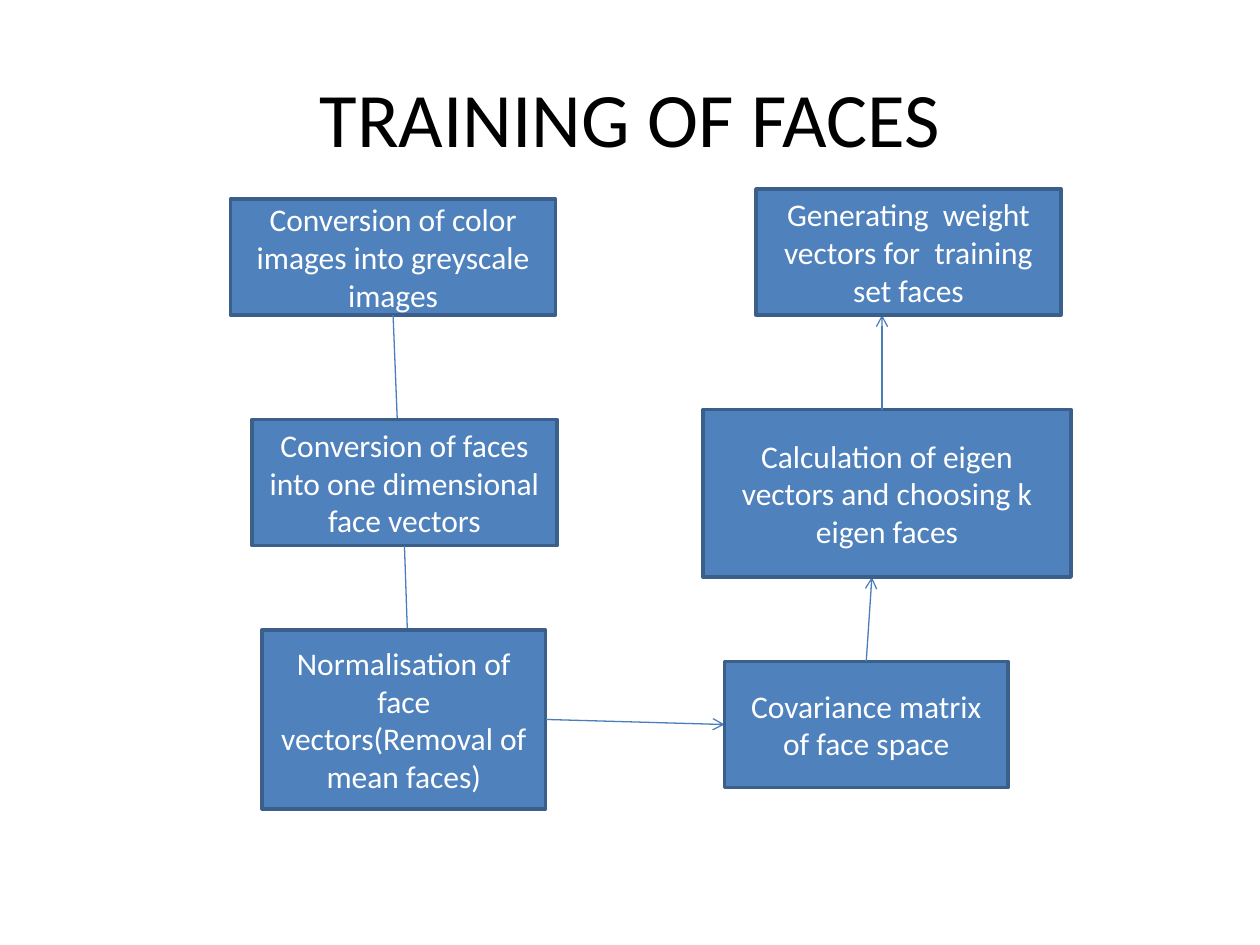
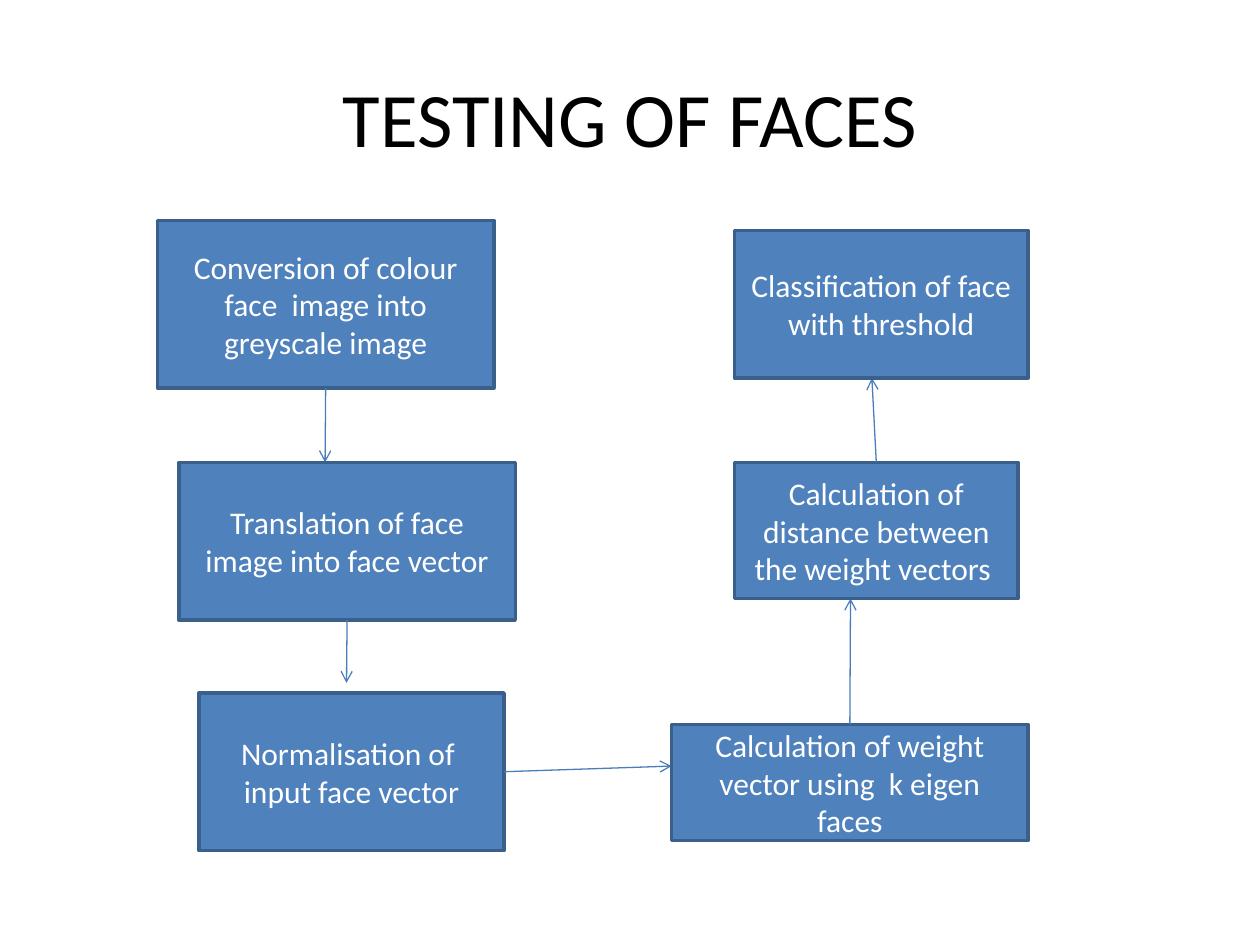
from dataclasses import dataclass

from lxml import etree
from pptx import Presentation
from pptx.dml.color import RGBColor
from pptx.enum.shapes import MSO_CONNECTOR, MSO_SHAPE
from pptx.enum.text import MSO_ANCHOR, PP_ALIGN
from pptx.oxml.ns import qn
from pptx.util import Inches, Pt

RECTANGLE = MSO_SHAPE.RECTANGLE
STRAIGHT = MSO_CONNECTOR.STRAIGHT
MIDDLE = MSO_ANCHOR.MIDDLE
CENTER = PP_ALIGN.CENTER
TITLE_ONLY = 5


@dataclass(frozen=True)
class Theme:
    font: str = "Calibri"
    title_color: RGBColor = RGBColor(0x00, 0x00, 0x00)
    step_text: RGBColor = RGBColor(0xFF, 0xFF, 0xFF)
    step_fill: RGBColor = RGBColor(0x4F, 0x81, 0xBD)
    step_border: RGBColor = RGBColor(0x3A, 0x5F, 0x8B)
    arrow_color: RGBColor = RGBColor(0x4A, 0x7E, 0xBB)
    title_size: int = 44
    step_size: int = 18
    border_width: float = 2
    arrow_width: float = 0.75


@dataclass(frozen=True)
class Step:
    """A box, the side its arrow leaves from, and the point the arrow reaches."""
    text: str
    left: float
    top: float
    width: float
    height: float
    exit_side: str = ""
    arrow_tip: tuple = ()
    exit_shift: float = 0

    def exit_point(self):
        center_x = self.left + self.width / 2 + self.exit_shift
        return {
            "top": (center_x, self.top),
            "bottom": (center_x, self.top + self.height),
            "right": (self.left + self.width, self.top + self.height / 2),
        }[self.exit_side]


class FlowDeck:
    def __init__(self, theme):
        self.theme = theme
        self.deck = Presentation()
        self.deck.slide_width = Inches(10)
        self.deck.slide_height = Inches(7.5)
        self.slide = None

    def add_slide(self, title, steps):
        self.slide = self.deck.slides.add_slide(self.deck.slide_layouts[TITLE_ONLY])
        self.title(title)
        for step in steps:
            self.step_box(step)
            if step.exit_side:
                self.arrow(step.exit_point(), step.arrow_tip)

    def centered_text(self, frame, text, size, color):
        frame.word_wrap = True
        frame.vertical_anchor = MIDDLE
        paragraph = frame.paragraphs[0]
        paragraph.alignment = CENTER
        run = paragraph.add_run()
        run.text = text
        run.font.name = self.theme.font
        run.font.size = Pt(size)
        run.font.color.rgb = color

    def title(self, text):
        heading = self.slide.shapes.title
        heading.left, heading.top = Inches(0.5), Inches(0.3)
        heading.width, heading.height = Inches(9), Inches(1.25)
        self.centered_text(heading.text_frame, text,
                           self.theme.title_size, self.theme.title_color)

    def step_box(self, step):
        box = self.slide.shapes.add_shape(
            RECTANGLE, Inches(step.left), Inches(step.top),
            Inches(step.width), Inches(step.height))
        box.shadow.inherit = False
        box.fill.solid()
        box.fill.fore_color.rgb = self.theme.step_fill
        box.line.color.rgb = self.theme.step_border
        box.line.width = Pt(self.theme.border_width)
        self.centered_text(box.text_frame, step.text,
                           self.theme.step_size, self.theme.step_text)

    def arrow(self, start, tip):
        arrow = self.slide.shapes.add_connector(
            STRAIGHT, *(Inches(value) for value in (*start, *tip)))
        arrow.line.color.rgb = self.theme.arrow_color
        arrow.line.width = Pt(self.theme.arrow_width)
        properties = arrow.element.spPr
        etree.SubElement(properties.find(qn("a:ln")), qn("a:tailEnd"), type="arrow")
        etree.SubElement(properties, qn("a:effectLst"))


TRAINING_STEPS = [
    Step("Conversion of color images into greyscale images",
         1.83, 1.58, 2.58, 0.92, "bottom", (3.17, 3.75)),
    Step("Conversion of faces into one dimensional face vectors",
         2, 3.33, 2.42, 1, "bottom", (3.25, 5.5)),
    Step("Normalisation of face vectors(Removal of mean faces)",
         2.08, 5, 2.25, 1.42, "right", (5.75, 5.75)),
    Step("Covariance matrix of face space",
         5.75, 5.25, 2.25, 1, "top", (6.92, 4.58)),
    Step("Calculation of eigen vectors and choosing k eigen faces",
         5.58, 3.25, 2.92, 1.33, "top", (7, 2.5), exit_shift=-0.04),
    Step("Generating  weight vectors for  training set faces",
         6, 1.5, 2.42, 1),
]

TESTING_STEPS = [
    Step("Conversion of colour face  image into greyscale image",
         1.25, 1.75, 2.67, 1.33, "bottom", (2.58, 3.67)),
    Step("Translation of face image into face vector",
         1.42, 3.67, 2.67, 1.25, "bottom", (2.75, 5.42)),
    Step("Normalisation of  input face vector",
         1.58, 5.5, 2.42, 1.25, "right", (5.33, 6.08)),
    Step("Calculation of weight vector using  k eigen faces",
         5.33, 5.75, 2.83, 0.92, "top", (6.75, 4.75)),
    Step("Calculation of distance between the weight vectors ",
         5.83, 3.67, 2.25, 1.08, "top", (6.92, 3)),
    Step("Classification of face with threshold",
         5.83, 1.83, 2.33, 1.17),
]


def main():
    flow = FlowDeck(Theme())
    flow.add_slide("TRAINING OF FACES", TRAINING_STEPS)
    flow.add_slide("TESTING OF FACES", TESTING_STEPS)
    flow.deck.save("out.pptx")


if __name__ == "__main__":
    main()
